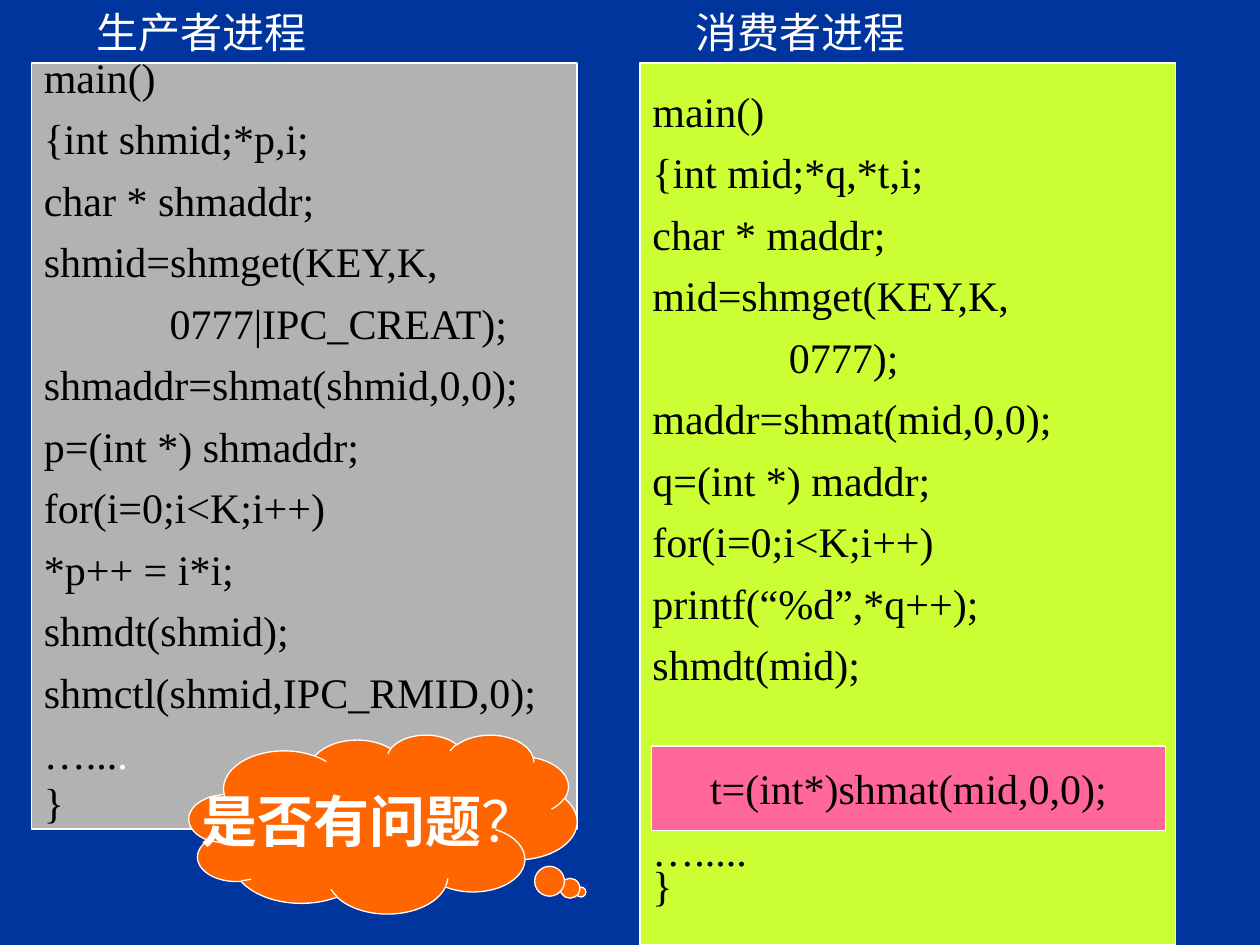
from dataclasses import dataclass

from pptx import Presentation
from pptx.dml.color import RGBColor as Rgb
from pptx.enum.shapes import MSO_SHAPE as Kind
from pptx.enum.text import MSO_ANCHOR as Anchor, PP_ALIGN as Align
from pptx.util import Inches, Pt

HUES = {"back": "00359E", "gray": "B2B2B2", "lime": "CCFF33", "pink": "FF6699",
        "fire": "FF6600", "white": "FFFFFF", "black": "000000"}
FONT = "Times New Roman"
GAP = 15


@dataclass
class Box:
    left: float
    top: float
    width: float
    height: float


@dataclass
class Panel:
    title: str
    head: Box
    box: Box
    hue: str
    code: list[str]
    dots: str
    tail: str  # white end of the dotted line
    skip: float  # space before the dotted line
    close: float  # line spacing of the closing brace


def color(name: str) -> Rgb:
    return Rgb.from_string(HUES[name])


def place(box: Box) -> list:
    return [Inches(n) for n in (box.left, box.top, box.width, box.height)]


def style(para, size: int = 24, hue: str = "black") -> None:
    font = para.font
    font.name, font.size = FONT, Pt(size)
    font.color.rgb = color(hue)


def add_block(slide, box: Box, hue: str, kind=Kind.RECTANGLE):
    shape = slide.shapes.add_shape(kind, *place(box))
    shape.shadow.inherit = False
    shape.fill.solid()
    shape.fill.fore_color.rgb = color(hue)
    shape.line.color.rgb = color("white")
    shape.line.width = Pt(0.75)
    frame = shape.text_frame
    frame.word_wrap = False
    frame.vertical_anchor = Anchor.MIDDLE
    frame.paragraphs[0].alignment = Align.CENTER
    return shape


def add_panel(slide, panel: Panel) -> None:
    # Heading
    frame = slide.shapes.add_textbox(*place(panel.head)).text_frame
    frame.word_wrap = True
    para = frame.paragraphs[0]
    para.text = panel.title
    style(para, hue="white")

    # Code
    frame = add_block(slide, panel.box, panel.hue).text_frame
    rows = [(line, GAP, 0.7) for line in panel.code]
    rows += [(panel.dots, panel.skip, 0.7), ("}", 0, panel.close)]
    for i, (line, before, pitch) in enumerate(rows):
        para = frame.add_paragraph() if i else frame.paragraphs[0]
        para.alignment = Align.LEFT
        para.line_spacing = pitch
        para.space_before = Pt(before if i else 0)
        para.add_run().text = line
        style(para)
        if line == panel.dots and panel.tail:
            run = para.add_run()
            run.text = panel.tail
            run.font.color.rgb = color("white")


PANELS = [
    Panel("生产者进程", Box(0.67, 0, 2.42, 0.5), Box(0.25, 0.5, 4.33, 6.08), "gray",
          ["main()", "{int shmid;*p,i;", "char * shmaddr;", "shmid=shmget(KEY,K,",
           "            0777|IPC_CREAT);", "shmaddr=shmat(shmid,0,0);",
           "p=(int *) shmaddr;", "for(i=0;i<K;i++)", "*p++ = i*i;",
           "shmdt(shmid);", "shmctl(shmid,IPC_RMID,0);"],
          "…...", ".", GAP, 1.0),
    Panel("消费者进程", Box(5.42, 0, 2.67, 0.5), Box(5.08, 0.5, 4.25, 7), "lime",
          ["main()", "{int mid;*q,*t,i;", "char * maddr;", "mid=shmget(KEY,K,",
           "             0777);", "maddr=shmat(mid,0,0);", "q=(int *) maddr;",
           "for(i=0;i<K;i++)", "printf(“%d”,*q++);", "shmdt(mid);"],
          "….....", "", 86, 0.7),
]


def main() -> None:
    deck = Presentation()
    deck.slide_width, deck.slide_height = Inches(10), Inches(7.5)
    slide = deck.slides.add_slide(deck.slide_layouts[6])
    slide.background.fill.solid()
    slide.background.fill.fore_color.rgb = color("back")

    for panel in PANELS:
        add_panel(slide, panel)

    # Extra attach call in the consumer
    note = add_block(slide, Box(5.17, 5.92, 4.08, 0.67), "pink")
    para = note.text_frame.paragraphs[0]
    para.text = "t=(int*)shmat(mid,0,0);"
    style(para)

    # Question cloud
    cloud = add_block(slide, Box(1.5, 5.83, 3.08, 1.42), "fire", Kind.CLOUD_CALLOUT)
    cloud.adjustments[0], cloud.adjustments[1] = 0.51, 0.38
    para = cloud.text_frame.paragraphs[0]
    for text, bold in (("是否有问题", True), ("？", False)):
        run = para.add_run()
        run.text, run.font.bold = text, bold
    style(para, 32, "white")

    deck.save("out.pptx")


if __name__ == "__main__":
    main()
